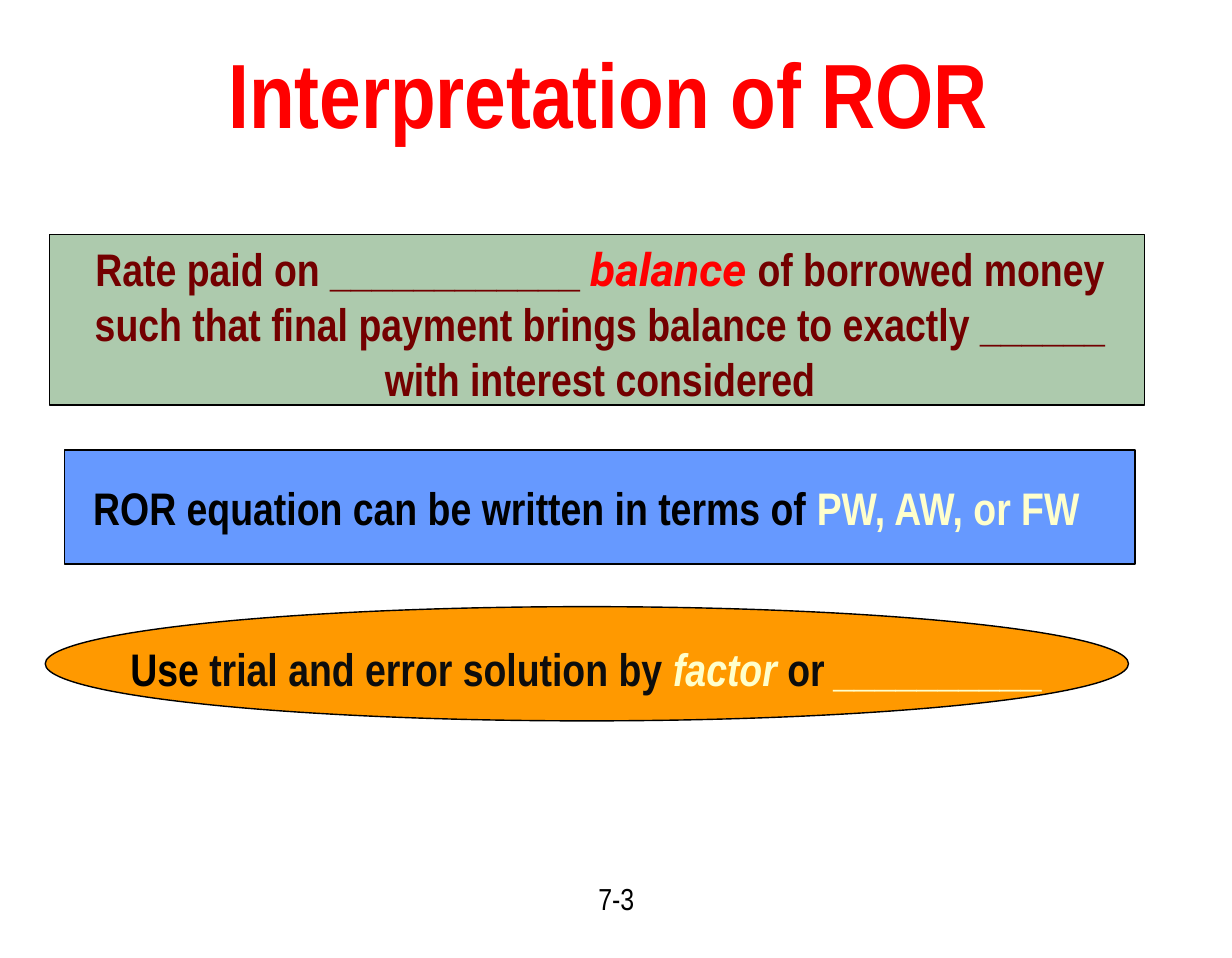
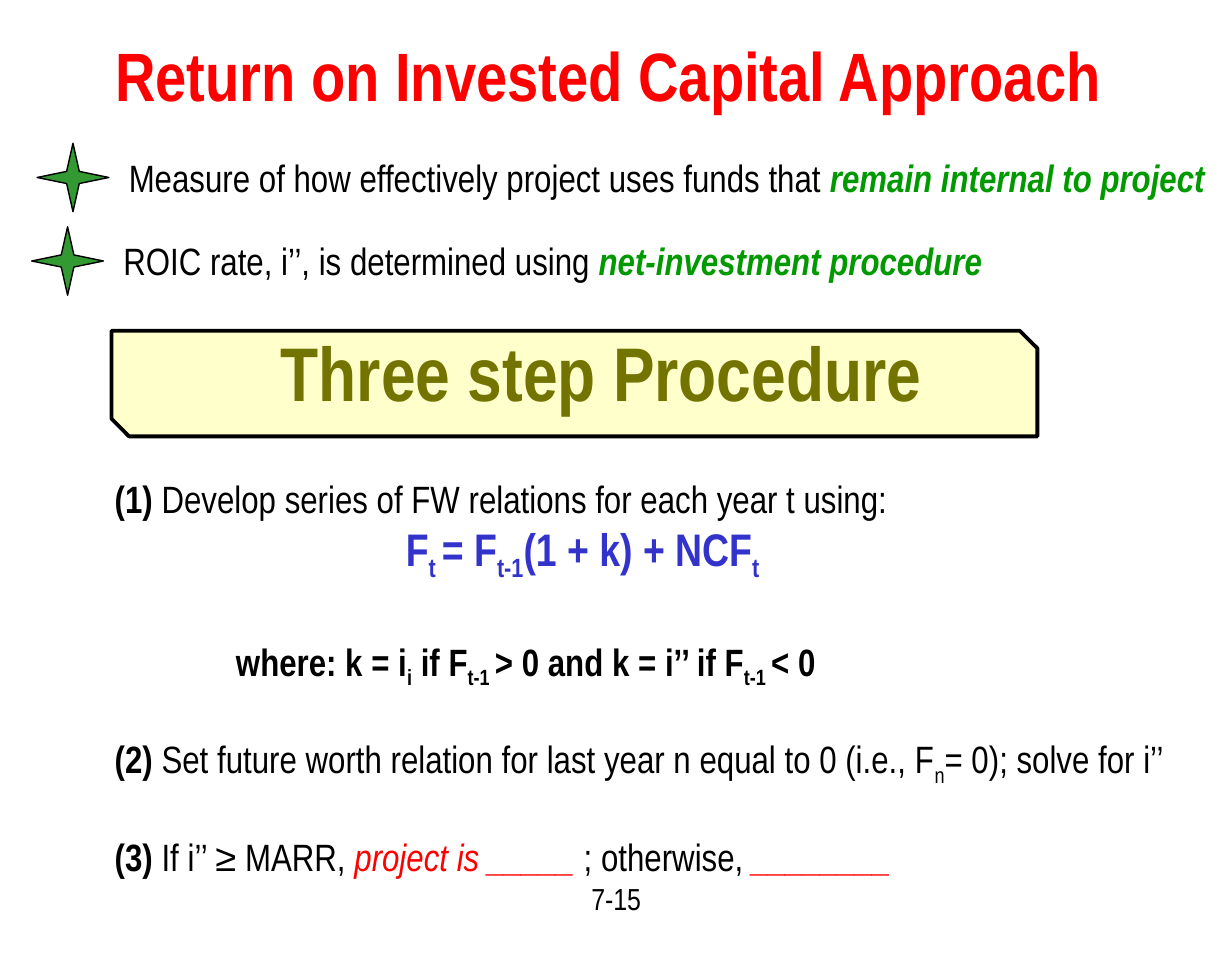
from pptx import Presentation
from pptx.dml.color import RGBColor
from pptx.enum.shapes import MSO_SHAPE as Shape
from pptx.enum.text import MSO_ANCHOR as Anchor, MSO_AUTO_SIZE as AutoSize, PP_ALIGN as Align
from pptx.util import Cm, Pt

FONT = "Arial Narrow"
COLORS = {
    "black": "000000", "soft black": "0D0D0D", "red": "FF0000", "maroon": "730000",
    "sage": "ADCAAD", "blue": "6699FF", "orange": "FF9900", "cream": "FFFFCC",
    "olive": "737300", "green": "009900", "star green": "339933", "indigo": "3333CC",
}
SUBSCRIPT = {"subscript": True}
CREAM_ITALIC = {"color": "cream", "italic": True}
RED_ITALIC = {"color": "red", "italic": True}
GREEN_EMPHASIS = {"color": "green", "bold": True, "italic": True}


def rgb(name):
    return RGBColor.from_string(COLORS[name])


def box(*lengths):
    return [Cm(length) for length in lengths]


def style_run(run, color=None, bold=None, italic=None, font=None, subscript=False):
    if color:
        run.font.color.rgb = rgb(color)
    if font:
        run.font.name = font
    if bold is not None:
        run.font.bold = bold
    if italic is not None:
        run.font.italic = italic
    if subscript:
        run.font._element.set("baseline", "-25000")


def write(paragraph, parts, size, color="black", bold=False, align=Align.LEFT,
          indent=0, space_before=0):
    """Fill a paragraph; each part is a string or a (string, run style) pair."""
    paragraph.alignment = align
    paragraph.space_before = Pt(space_before)
    if indent:
        properties = paragraph._p.get_or_add_pPr()
        properties.set("marL", str(Cm(indent)))
        properties.set("indent", "0")
    font = paragraph.font
    font.name, font.size, font.bold = FONT, Pt(size), bold
    font.color.rgb = rgb(color)
    for part in parts:
        text, style = (part, {}) if isinstance(part, str) else part
        run = paragraph.add_run()
        run.text = text
        style_run(run, **style)


def set_frame(frame, anchor=Anchor.TOP, margins=(0.25, 0.13, 0.25, 0.13), wrap=True):
    """Margins run left, top, right, bottom, in centimetres."""
    frame.word_wrap = wrap
    frame.auto_size = AutoSize.NONE
    frame.vertical_anchor = anchor
    (frame.margin_left, frame.margin_top,
     frame.margin_right, frame.margin_bottom) = box(*margins)


def add_text(slide, place, parts, size, **style):
    frame = slide.shapes.add_textbox(*box(*place)).text_frame
    set_frame(frame)
    write(frame.paragraphs[0], parts, size, **style)
    return frame


def add_figure(slide, kind, place, fill, line_width=0.75):
    shape = slide.shapes.add_shape(kind, *box(*place))
    shape.shadow.inherit = False
    shape.fill.solid()
    shape.fill.fore_color.rgb = rgb(fill)
    shape.line.color.rgb = rgb("black")
    shape.line.width = Pt(line_width)
    return shape


def add_star_point(slide, left, top, parts):
    add_figure(slide, Shape.STAR_4_POINT, (left, top, 1.33, 1.27), "star green")
    add_text(slide, (left + 1.45, top + 0.07, 20.7, 1.12), parts, 20)


def add_titled_slide(presentation, title, place, size, number):
    slide = presentation.slides.add_slide(presentation.slide_layouts[5])
    shape = slide.shapes.title
    shape.left, shape.top, shape.width, shape.height = box(*place)
    set_frame(shape.text_frame, Anchor.MIDDLE)
    write(shape.text_frame.paragraphs[0], [title], size, "red", True, Align.CENTER)
    add_text(slide, (9.91, 16.2, 3.05, 1.2), [number], 16, align=Align.CENTER)
    return slide


def build_interpretation(presentation):
    slide = add_titled_slide(presentation, "Interpretation of ROR",
                             (2.06, 0.43, 18.47, 2.54), 48, "7-3")

    rate = add_figure(slide, Shape.RECTANGLE, (0.92, 4.35, 20.32, 3.17), "sage").text_frame
    set_frame(rate, margins=(0.41, 0.13, 0.3, 0))
    write(rate.paragraphs[0], [
        "Rate paid on ____________ ",
        ("balance ", {"color": "red", "italic": True, "font": "Roboto"}),
        "of borrowed money such that final payment brings balance to exactly ______ "
        "with interest considered",
    ], 24, "maroon", True, Align.CENTER)

    equation = add_figure(slide, Shape.RECTANGLE, (1.2, 8.35, 19.86, 2.12), "blue").text_frame
    set_frame(equation, Anchor.MIDDLE, (0.53, 0.13, 0.25, 0.13))
    write(equation.paragraphs[0], [
        "ROR equation can be written in terms of ",
        ("PW, AW, or FW", {"color": "cream"}),
    ], 24, bold=True)

    solution = add_figure(slide, Shape.OVAL, (0.84, 11.26, 20.1, 2.12), "orange").text_frame
    set_frame(solution, Anchor.MIDDLE, (0, 0.18, 0, 0), wrap=False)
    write(solution.paragraphs[0], [
        ("Use ", {"color": "black"}),
        "trial and error solution by ",
        ("factor ", CREAM_ITALIC),
        "or ",
        ("__________", CREAM_ITALIC),
    ], 24, "soft black", True, Align.CENTER)


def build_invested_capital(presentation):
    slide = add_titled_slide(presentation, "Return on Invested Capital Approach",
                             (0.18, 0.43, 22.22, 1.9), 36, "7-15")

    add_star_point(slide, 0.69, 2.66, [
        "Measure of how effectively project uses funds that ",
        ("remain internal to project", GREEN_EMPHASIS),
    ])
    add_star_point(slide, 0.59, 4.21, [
        "ROIC rate, i’’, is determined using ",
        ("net-investment procedure", GREEN_EMPHASIS),
    ])

    banner = add_figure(slide, Shape.SNIP_2_DIAG_RECTANGLE, (2.07, 6.14, 17.18, 1.96),
                        "cream", 2).text_frame
    set_frame(banner, Anchor.MIDDLE, (2.98, 0, 0, 0.46))
    write(banner.paragraphs[0], ["Three step Procedure"], 40, "olive", True)

    number = {"bold": True}
    steps = add_text(slide, (1.88, 8.69, 20.9, 7.9), [
        ("(1)", number), " Develop series of FW relations for each year t using:",
    ], 20)
    write(steps.add_paragraph(), [
        "F", ("t ", SUBSCRIPT), "= F", ("t-1", SUBSCRIPT), "(1 + k) + NCF", ("t", SUBSCRIPT),
    ], 24, "indigo", True, indent=5.4)
    write(steps.add_paragraph(), [
        "where: k = i", ("i", SUBSCRIPT), " if F", ("t-1 ", SUBSCRIPT),
        "> 0 and k = i’’ if F", ("t-1 ", SUBSCRIPT), "< 0",
    ], 20, bold=True, indent=2.25, space_before=29)
    write(steps.add_paragraph(), [
        ("(2)", number), " Set future worth relation for last year n equal to 0 (i.e., F",
        ("n", SUBSCRIPT), "= 0); solve for i’’",
    ], 20, space_before=24)
    write(steps.add_paragraph(), [
        ("(3)", number), " If i’’ ≥ MARR, ", ("project is _____ ", RED_ITALIC),
        "; otherwise, ", ("________", RED_ITALIC),
    ], 20, space_before=24)


def main():
    presentation = Presentation()
    presentation.slide_width, presentation.slide_height = box(22.86, 17.78)
    build_interpretation(presentation)
    build_invested_capital(presentation)
    presentation.save("out.pptx")


if __name__ == "__main__":
    main()
